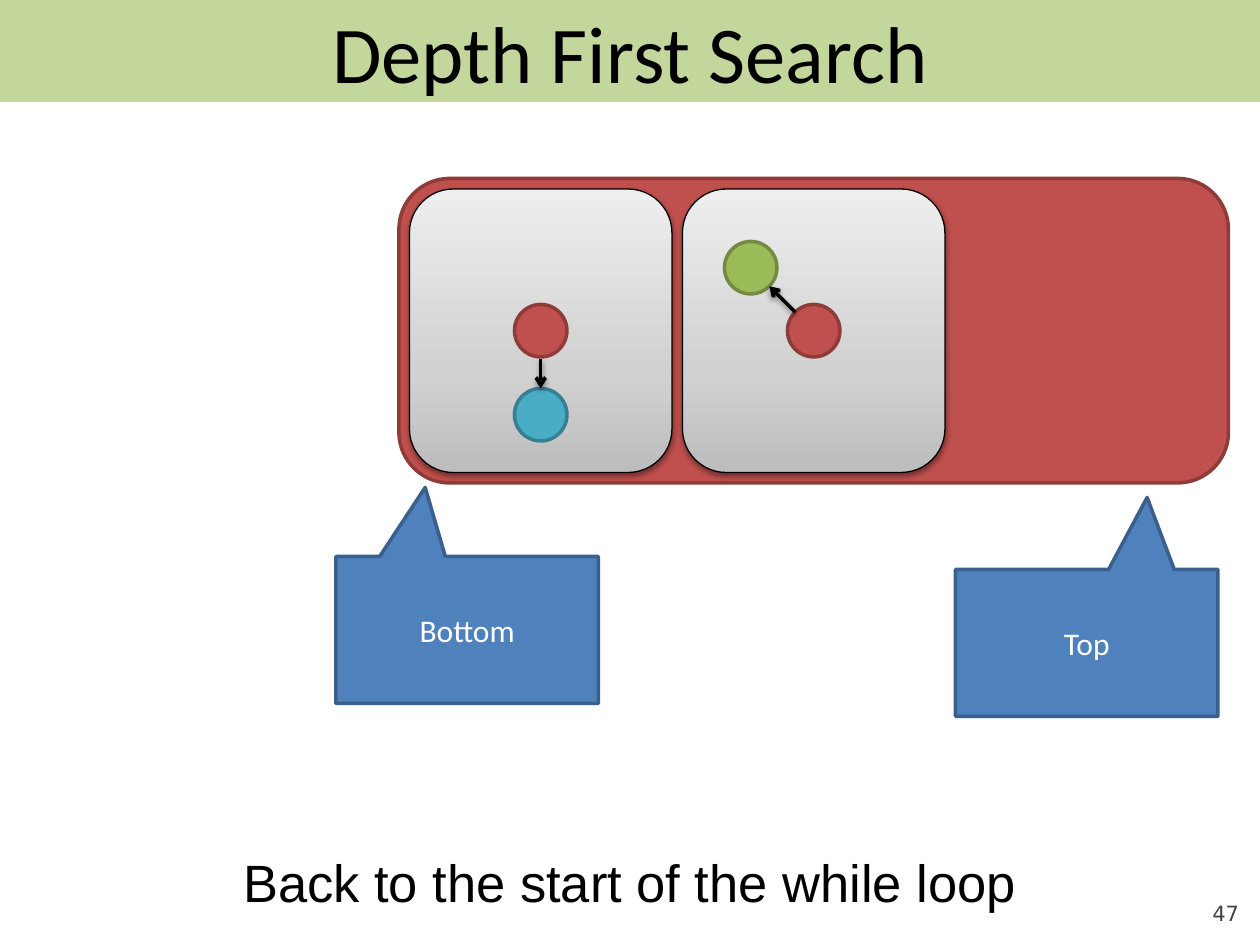
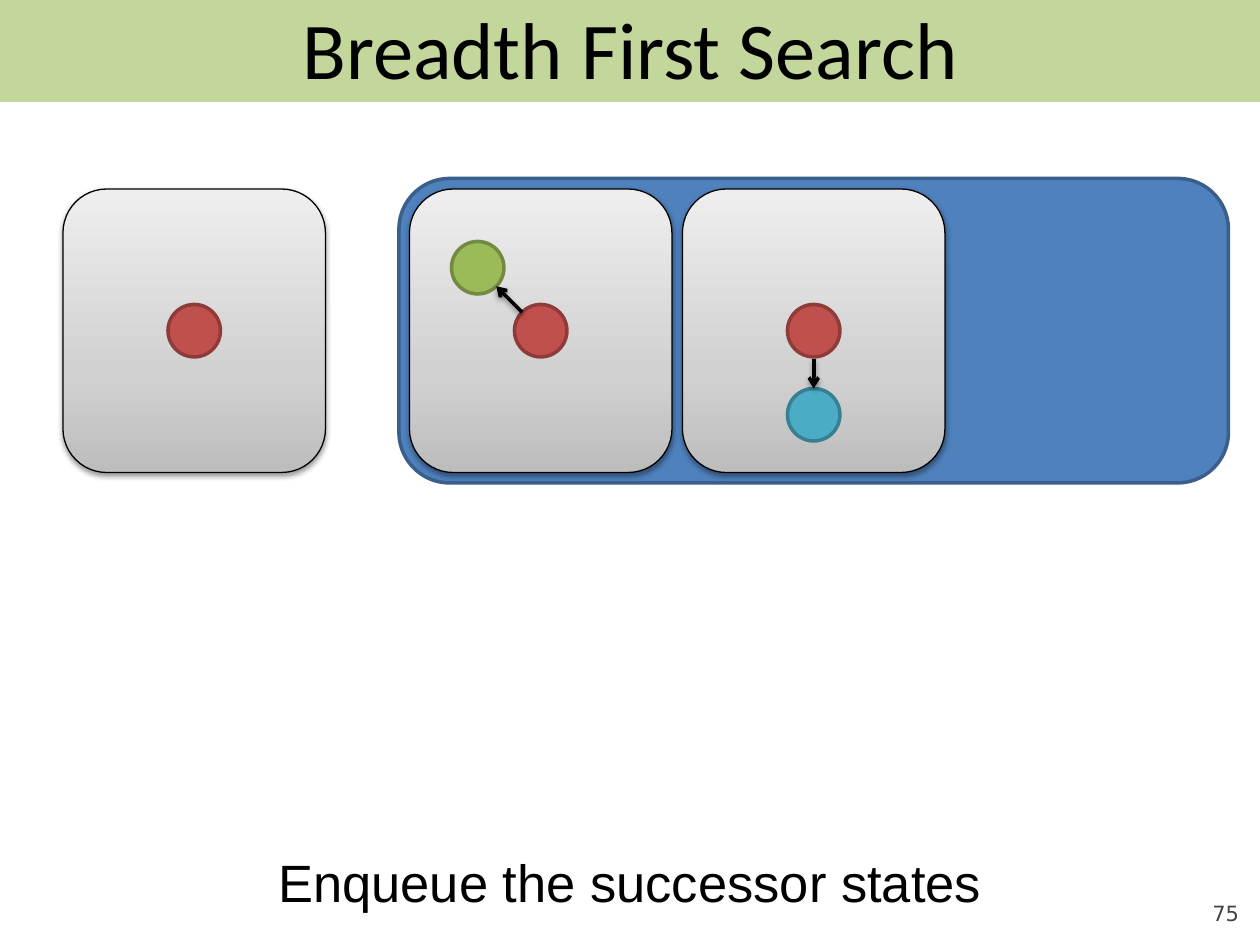
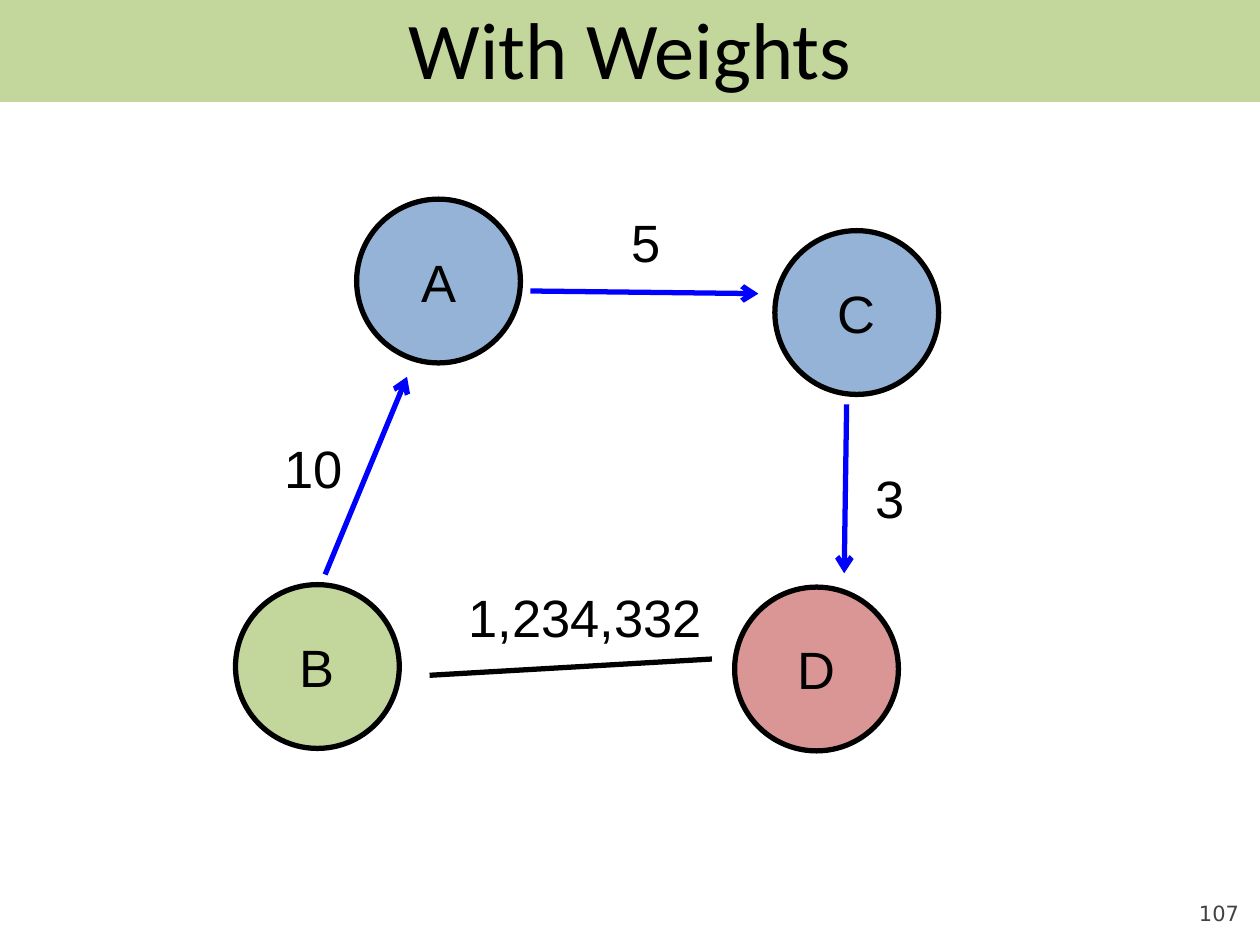
"""Build three slides on graph search and weighted graphs."""
from copy import deepcopy
from dataclasses import dataclass

from lxml.etree import SubElement as Sub
from pptx import Presentation
from pptx.dml.color import RGBColor as RGB
from pptx.enum.shapes import MSO_CONNECTOR as Link, MSO_SHAPE as Kind
from pptx.enum.text import MSO_ANCHOR as Anchor, MSO_AUTO_SIZE as Fit, PP_ALIGN as Align
from pptx.oxml.ns import qn
from pptx.util import Pt


@dataclass(frozen=True)
class Theme:
    black: str = "000000"
    white: str = "FFFFFF"
    gray: str = "424242"
    band: str = "C3D69B"
    edge: str = "0000FF"
    red: tuple = ("C0504D", "8E3B39")
    blue: tuple = ("4F81BD", "3A5F8C")
    green: tuple = ("9BBB59", "738A42")
    aqua: tuple = ("4BACC6", "377F92")
    sky: str = "95B3D7"
    rose: str = "D99694"
    stops: tuple = ((0, "BDBDBD"), (0.35, "D1D1D1"), (1, "EEEEEE"))
    head: int = 46
    big: int = 30
    mid: int = 18
    small: int = 12
    sans: str = "Calibri"
    plain: str = "Arial"
    count: str = "DejaVu Sans"


class Deck:
    def __init__(self, theme):
        self.theme = theme
        self.show = Presentation()
        self.show.slide_width, self.show.slide_height = Pt(720), Pt(540)
        self.shapes = None

    def start(self, title, number, box=(36, 0, 648, 54), fill=None):
        t = self.theme
        slide = self.show.slides.add_slide(self.show.slide_layouts[5])
        self.shapes = slide.shapes
        self.shape(Kind.RECTANGLE, (0, 0, 720, 58.3), t.band)
        head = self.shapes.title
        head.left, head.top, head.width, head.height = map(Pt, box)
        self.shapes.element.append(head.element)
        if fill:
            head.fill.solid()
            head.fill.fore_color.rgb = RGB.from_string(fill)
        self.label(head, title, t.head, t.sans, t.black)
        self.text(number, (648, 500.4, 60, 28.8), t.small, t.count, t.gray,
                  Align.RIGHT, Anchor.BOTTOM, inset=0)

    def label(self, shape, text, size, font, color,
              align=Align.CENTER, anchor=Anchor.MIDDLE, wrap=True):
        frame = shape.text_frame
        frame.auto_size = Fit.NONE
        frame.word_wrap = wrap
        frame.vertical_anchor = anchor
        para = frame.paragraphs[0]
        para.alignment = align
        run = para.add_run()
        run.text = text
        run.font.size = Pt(size)
        run.font.name = font
        run.font.color.rgb = RGB.from_string(color)

    def text(self, text, box, size, font, color, align=Align.CENTER,
             anchor=Anchor.TOP, wrap=True, inset=None):
        shape = self.shapes.add_textbox(*map(Pt, box))
        self.label(shape, text, size, font, color, align, anchor, wrap)
        if inset is not None:
            frame = shape.text_frame
            frame.margin_left = frame.margin_right = Pt(inset)
            frame.margin_top = frame.margin_bottom = Pt(inset)

    def shape(self, kind, box, fill=None, line=None, width=2):
        shape = self.shapes.add_shape(kind, *map(Pt, box))
        shape.shadow.inherit = False
        if fill:
            shape.fill.solid()
            shape.fill.fore_color.rgb = RGB.from_string(fill)
        if line:
            shape.line.color.rgb = RGB.from_string(line)
            shape.line.width = Pt(width)
        else:
            shape.line.fill.background()
        return shape

    def shade(self, effects):
        glow = Sub(effects, qn("a:outerShdw"), blurRad=str(Pt(3.1)),
                   dist=str(Pt(1.6)), dir="5400000", rotWithShape="0")
        color = Sub(glow, qn("a:srgbClr"), val=self.theme.black)
        Sub(color, qn("a:alpha"), val="38000")

    def line(self, start, end, color, width, arrow=True, shade=False):
        line = self.shapes.add_connector(Link.STRAIGHT, *map(Pt, start + end))
        line.line.color.rgb = RGB.from_string(color)
        line.line.width = Pt(width)
        props = line.element.spPr
        if arrow:
            Sub(props.find(qn("a:ln")), qn("a:tailEnd"), type="arrow")
        effects = Sub(props, qn("a:effectLst"))
        if shade:
            self.shade(effects)

    def queue(self, tone):
        self.shape(Kind.ROUNDED_RECTANGLE, (228, 102, 474, 174), *tone)

    def dot(self, x, y, tone):
        self.shape(Kind.OVAL, (x, y, 30, 30), *tone)

    def card(self, x, move=None):
        t, y = self.theme, 108
        card = self.shape(Kind.ROUNDED_RECTANGLE, (x, y, 150, 162),
                          line=t.black, width=0.75)
        fill = card.fill
        fill.gradient()
        fill.gradient_angle = 90
        first = next(card.element.iter(qn("a:gs")))
        first.addnext(deepcopy(first))
        for stop, (place, color) in zip(fill.gradient_stops, t.stops):
            stop.position = place
            stop.color.rgb = RGB.from_string(color)
        self.shade(card.element.spPr.find(qn("a:effectLst")))
        self.dot(x + 60, y + 66, t.red)
        if move:
            dx, dy, tone, (ax, ay), (bx, by) = move
            self.dot(x + dx, y + dy, tone)
            self.line((x + ax, y + ay), (x + bx, y + by), t.black, 2, shade=True)

    def callout(self, text, x, y, tip):
        t = self.theme
        shape = self.shape(Kind.RECTANGULAR_CALLOUT, (x, y, 150, 84), *t.blue)
        shape.adjustments[0], shape.adjustments[1] = tip
        self.label(shape, text, t.mid, t.sans, t.white)

    def caption(self, text):
        t = self.theme
        self.text(text, (0, 482.4, 720, 43.9), t.big, t.plain, t.black)

    def node(self, text, x, y, fill):
        t = self.theme
        shape = self.shape(Kind.OVAL, (x, y, 93.6, 93.6), fill, t.black, 3)
        self.label(shape, text, t.big, t.plain, t.black)

    def weight(self, text, x, y, width):
        t = self.theme
        self.text(text, (x, y, width, 43.9), t.big, t.plain, t.black,
                  Align.RIGHT, wrap=False)


def main():
    t = Theme()
    deck = Deck(t)
    left, right = 234, 390
    up = (24, 30, t.green, (64.4, 70.4), (49.6, 55.6))
    down = (60, 114, t.aqua, (75, 97), (75, 114))

    deck.start("Depth First Search", "47", (0, 0, 720, 58.3), t.band)
    deck.queue(t.red)
    deck.card(right, up)
    deck.card(left, down)
    deck.caption("Back to the start of the while loop")
    deck.callout("Bottom", 192, 318, (-0.16, -0.97))
    deck.callout("Top", 546, 325.4, (0.23, -0.99))

    deck.start("Breadth First Search", "75")
    deck.queue(t.blue)
    deck.card(left, up)
    deck.card(right, down)
    deck.card(36)
    deck.caption("Enqueue the successor states")

    deck.start("With Weights", "107")
    for node in (("A", 203.8, 113.8, t.sky), ("B", 134.6, 334.1, t.band),
                 ("C", 442.8, 131.8, t.sky), ("D", 419.8, 335.5, t.rose)):
        deck.node(*node)
    for start, end in (((303.1, 166.3), (433.4, 167.8)),
                       ((483.8, 231.1), (482.4, 327.6)),
                       ((185.8, 328.3), (232.6, 215.3))):
        deck.line(start, end, t.edge, 3)
    deck.line((245.5, 385.9), (406.8, 376.6), t.black, 3, arrow=False)
    for label in (("10", 154.8, 245.5, 48.2), ("5", 352.8, 116.6, 31.7),
                  ("3", 492.5, 262.8, 31.7), ("1,234,332", 259.2, 330.5, 149)):
        deck.weight(*label)

    deck.show.save("out.pptx")


if __name__ == "__main__":
    main()
